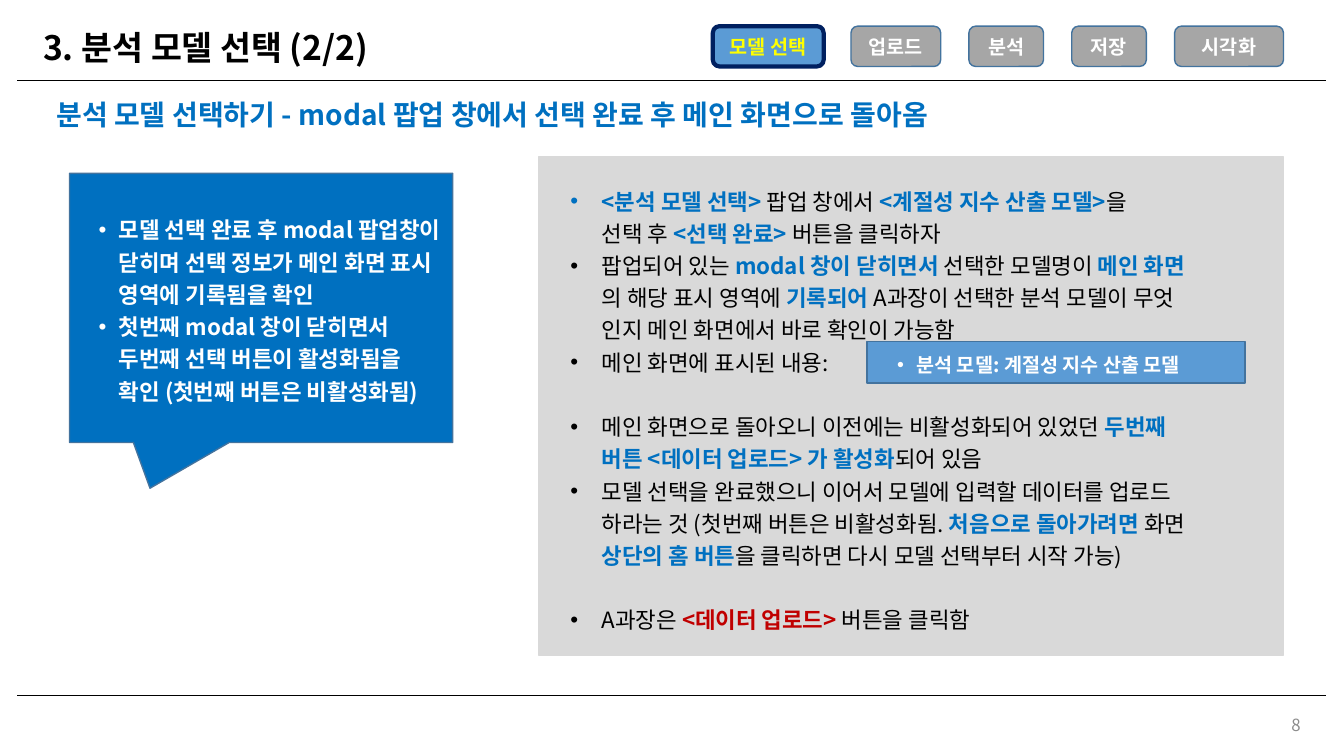
from dataclasses import dataclass, field
from typing import Any

from lxml.etree import SubElement
from pptx import Presentation
from pptx.dml.color import RGBColor
from pptx.enum.shapes import MSO_CONNECTOR as Connector, MSO_SHAPE as Preset
from pptx.enum.text import MSO_ANCHOR as Anchor, PP_ALIGN as Align
from pptx.oxml.ns import qn
from pptx.util import Inches, Pt

FONT = "Noto Sans CJK KR"
COLORS = {
    "black": "000000", "white": "FFFFFF", "blue": "0070C0", "red": "C00000",
    "yellow": "FFFF00", "sky": "5B9BD5", "navy": "002060", "edge": "43739E",
    "step": "A6A6A6", "panel": "D9D9D9", "page": "8C8C8C",
}


@dataclass
class Span:
    text: str
    color: str = "black"
    bold: bool = False


@dataclass
class Para:
    spans: list[Span]
    format: dict[str, Any] = field(default_factory=dict)
    hanging: tuple[float, float] | None = None  # left margin, bullet offset


@dataclass
class Block:
    box: tuple[float, float, float, float]
    paras: list[Para] = field(default_factory=list)
    size: int = 16
    anchor: Anchor = Anchor.MIDDLE
    preset: Preset | None = None
    fill: str = "sky"
    line: str = "edge"
    line_width: float = 1
    adjust: tuple[float, ...] = ()


def rgb(name: str) -> RGBColor:
    return RGBColor.from_string(COLORS[name])


def blue(text: str) -> Span:
    return Span(text, "blue", True)


def white(text: str) -> Span:
    return Span(text, "white", True)


def bullet(spans: list[Span], left: float = 0.31, offset: float = 0.31,
           gap: float = 0) -> Para:
    """Bulleted paragraph with a gap in points above it."""
    layout = {"line_spacing": 1.2}
    if gap:
        layout["space_before"] = Pt(gap)
    return Para(spans, layout, (left, offset))


def add_span(paragraph, span: Span, size: int) -> None:
    """Add the runs of a span, with a line break at each newline."""
    for index, text in enumerate(span.text.split("\n")):
        if index:
            paragraph.add_line_break()
            SubElement(paragraph._p[-1], qn("a:rPr"), sz=str(size * 100))
        if not text:
            continue
        run = paragraph.add_run()
        run.text = text
        values = {"size": Pt(size), "bold": span.bold, "name": FONT}
        for key, value in values.items():
            setattr(run.font, key, value)
        run.font.color.rgb = rgb(span.color)
        SubElement(run._r.get_or_add_rPr(), qn("a:ea"), typeface=FONT)


def write(frame, block: Block) -> None:
    frame.word_wrap = True
    frame.vertical_anchor = block.anchor
    for index, para in enumerate(block.paras):
        paragraph = frame.add_paragraph() if index else frame.paragraphs[0]
        if para.hanging:
            left, offset = para.hanging
            props = paragraph._p.get_or_add_pPr()
            props.set("marL", str(Inches(left)))
            props.set("indent", str(-Inches(offset)))
            SubElement(props, qn("a:buFont"), typeface="Arial")
            SubElement(props, qn("a:buChar"), char="•")
        for key, value in ({"alignment": Align.LEFT} | para.format).items():
            setattr(paragraph, key, value)
        for span in para.spans:
            add_span(paragraph, span, block.size)


def draw(slide, block: Block) -> None:
    box = [Inches(length) for length in block.box]
    if block.preset is None:
        shape = slide.shapes.add_textbox(*box)
    else:
        shape = slide.shapes.add_shape(block.preset, *box)
        shape.shadow.inherit = False
        shape.fill.solid()
        shape.fill.fore_color.rgb = rgb(block.fill)
        shape.line.color.rgb = rgb(block.line)
        shape.line.width = Pt(block.line_width)
        for index, value in enumerate(block.adjust):
            shape.adjustments[index] = value
    write(shape.text_frame, block)


def draw_rule(slide, top: float) -> None:
    rule = slide.shapes.add_connector(
        Connector.STRAIGHT, Inches(0.17), Inches(top), Inches(13.15), Inches(top))
    rule.line.color.rgb = rgb("black")
    rule.line.width = Pt(1)
    SubElement(rule._element.spPr, qn("a:effectLst"))


BLANK_LINE = 23
HEADING = {"line_spacing": 0.9}
CENTERED = {"alignment": Align.CENTER}

STORY = [
    bullet([blue("<분석 모델 선택> "), Span("팝업 창에서 "),
            blue("<계절성 지수 산출 모델>"), Span("을\n선택 후 "),
            blue("<선택 완료> "), Span("버튼을 클릭하자")]),
    bullet([Span("팝업되어 있는 "), blue("modal 창이 닫히면서 "),
            Span("선택한 모델명이 "), blue("메인 화면\n"),
            Span("의 해당 표시 영역에 "), blue("기록되어 "),
            Span("A과장이 선택한 분석 모델이 무엇\n"
                 "인지 메인 화면에서 바로 확인이 가능함")]),
    bullet([Span("메인 화면에 표시된 내용:")]),
    bullet([Span("메인 화면으로 돌아오니 이전에는 비활성화되어 있었던 "),
            blue("두번째\n버튼 <데이터 업로드> 가 활성화"),
            Span("되어 있음")], gap=BLANK_LINE),
    bullet([Span("모델 선택을 완료했으니 이어서 모델에 입력할 데이터를 업로드\n"
                 "하라는 것 (첫번째 버튼은 비활성화됨. "),
            blue("처음으로 돌아가려면 "), Span("화면 "), blue("상단의 홈 버튼"),
            Span("을 클릭하면 다시 모델 선택부터 시작 가능)")]),
    bullet([Span("A과장은 "), Span("<데이터 업로드> ", "red", True),
            Span("버튼을 클릭함")], gap=BLANK_LINE),
]

CHECKS = [
    bullet([white("모델 선택 완료 후 modal 팝업창이 닫히며 선택 정보가 메인 "
                  "화면 표시 영역에 기록됨을 확인")], 0.39, 0.2),
    bullet([white("첫번째 modal 창이 닫히면서\n두번째 선택 버튼이 활성화됨을\n"
                  "확인 (첫번째 버튼은 비활성화됨)")], 0.39, 0.2),
]

STEPS = [("모델 선택", 7.07, 1.1), ("업로드", 8.44, 0.89), ("분석", 9.61, 0.74),
         ("저장", 10.63, 0.74), ("시각화", 11.65, 1.08)]
CURRENT_STEP = "모델 선택"


def step_button(label: str, left: float, width: float) -> Block:
    box = (left, 0.26, width, 0.4)
    if label == CURRENT_STEP:
        return Block(box, [Para([Span(label, "yellow", True)], CENTERED)], 14,
                     preset=Preset.ROUNDED_RECTANGLE, line="navy", line_width=3)
    return Block(box, [Para([white(label)], CENTERED)], 14,
                 preset=Preset.ROUNDED_RECTANGLE, fill="step")


BLOCKS = [
    Block((10, 6.99, 3, 0.4),
          [Para([Span("8", "page")], {"alignment": Align.RIGHT})], 12),
    Block((0.33, 0.2, 12.58, 0.59),
          [Para([Span("3. 분석 모델 선택 (2/2)", bold=True)], HEADING)], 24),
    Block((0.46, 0.91, 12.44, 0.49),
          [Para([blue("분석 모델 선택하기 - modal 팝업 창에서 선택 완료 후 "
                      "메인 화면으로 돌아옴")], HEADING)], 20),
    Block((5.34, 1.56, 7.39, 4.94), preset=Preset.RECTANGLE,
          fill="panel", line="panel"),
    Block((5.56, 1.76, 6.95, 4.62), STORY, anchor=Anchor.TOP),
    Block((0.69, 1.72, 3.8, 2.67), CHECKS, preset=Preset.RECTANGULAR_CALLOUT,
          fill="blue", adjust=(-0.29, 0.67)),
    *(step_button(*step) for step in STEPS),
    Block((8.6, 3.39, 3.75, 0.41),
          [bullet([white("분석 모델: 계절성 지수 산출 모델")], 0.39, 0.19)],
          14, preset=Preset.RECTANGLE),
]


def main() -> None:
    deck = Presentation()
    deck.slide_width, deck.slide_height = Inches(13.33), Inches(7.5)
    slide = deck.slides.add_slide(deck.slide_layouts[6])
    for top in (0.8, 6.9):
        draw_rule(slide, top)
    for block in BLOCKS:
        draw(slide, block)
    deck.save("out.pptx")


if __name__ == "__main__":
    main()
